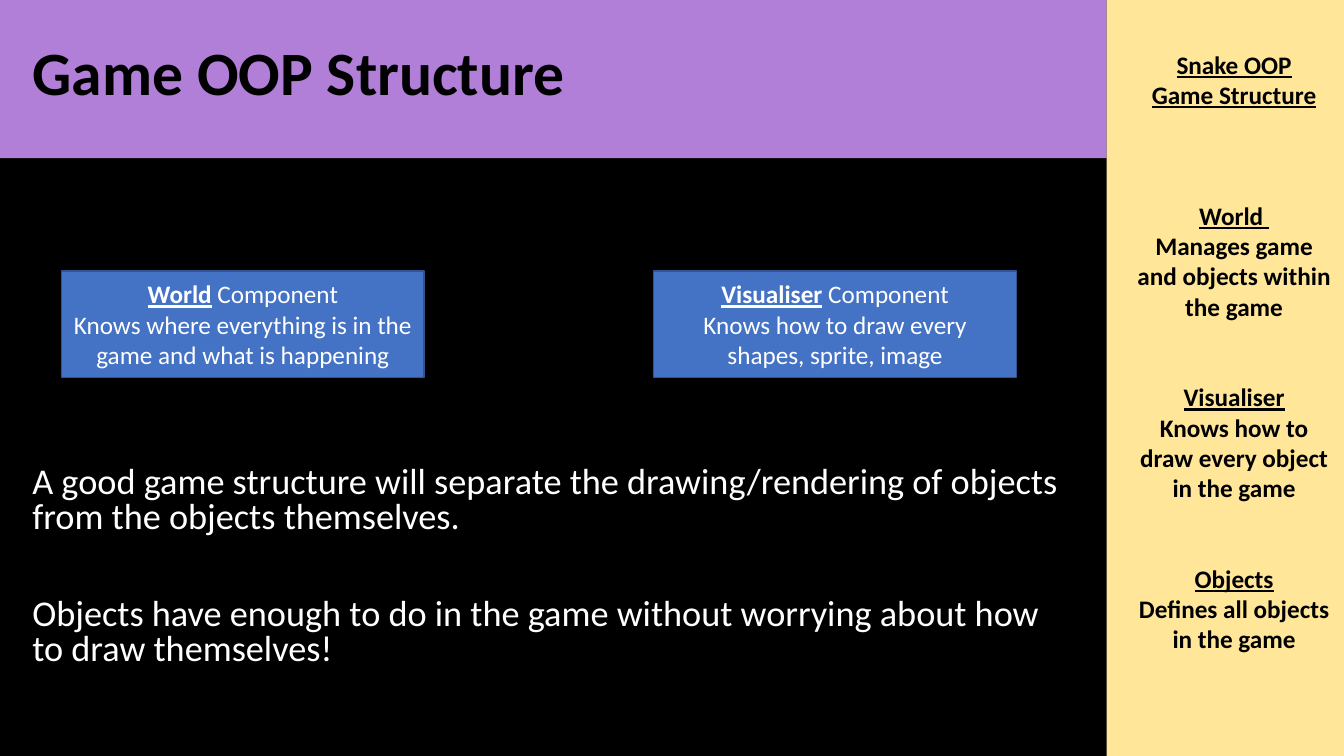
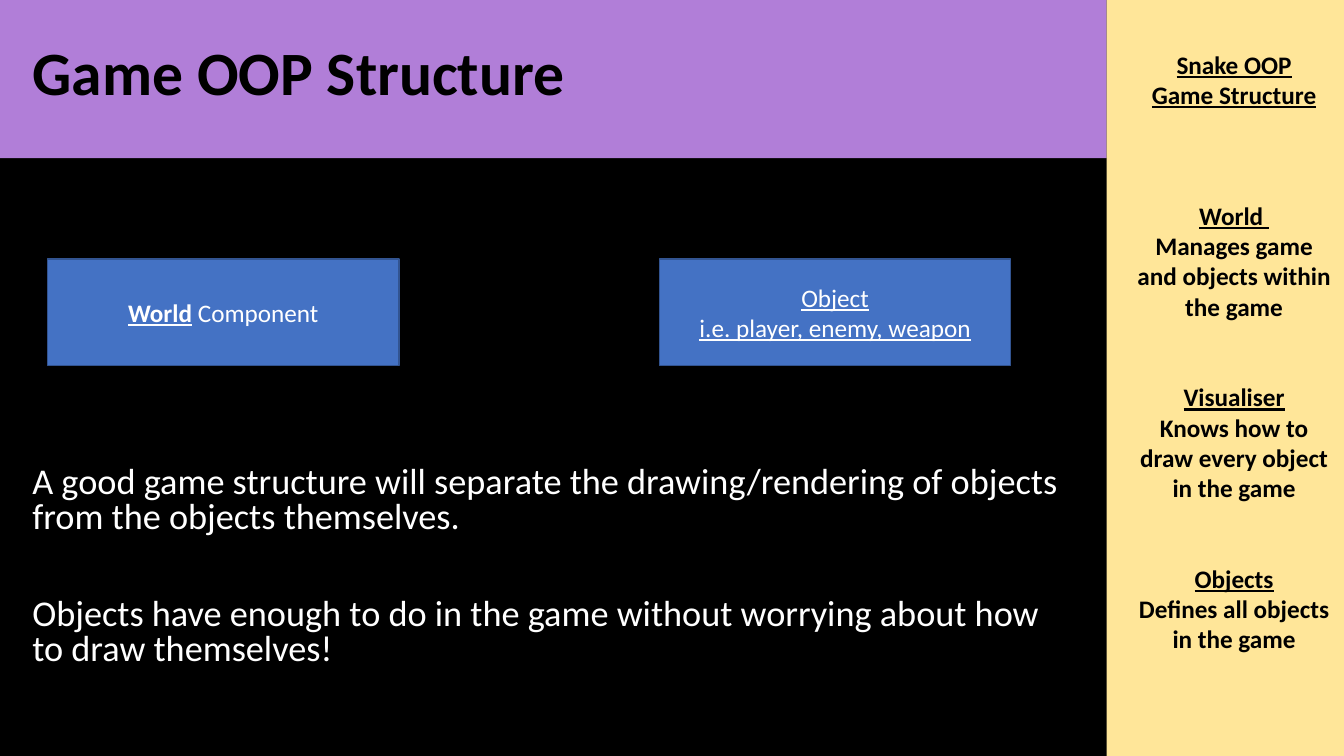
from pptx import Presentation
from pptx.dml.color import RGBColor
from pptx.enum.shapes import MSO_SHAPE
from pptx.enum.text import MSO_ANCHOR, MSO_AUTO_SIZE, PP_ALIGN
from pptx.util import Pt

RECT = MSO_SHAPE.RECTANGLE
LEFT, CENTER = PP_ALIGN.LEFT, PP_ALIGN.CENTER
TOP, MIDDLE = MSO_ANCHOR.TOP, MSO_ANCHOR.MIDDLE
NO_FIT = MSO_AUTO_SIZE.NONE

BLACK, WHITE = "000000", "FFFFFF"
PURPLE, YELLOW = "B17ED8", "FFE699"
BLUE, DARK_BLUE = "4472C4", "325491"

WIDTH, HEIGHT = 960, 540
MAIN_WIDTH, HEADER_HEIGHT = 790.5, 113
HEADER_BOX = (0, 0, MAIN_WIDTH, HEADER_HEIGHT)
SIDEBAR_BOX = (MAIN_WIDTH, 0, WIDTH - MAIN_WIDTH, HEIGHT)
BODY_BOX = (16, 330, 757, 157)
SIDEBAR_LINE = 21.6

PLAIN = {}
UNDERLINED = {"underline": True}
TERM = {"bold": True, "underline": True}

TITLE = "Game OOP Structure"
BODY = [
    "A good game structure will separate the drawing/rendering of objects "
    "from the objects themselves.",
    "Objects have enough to do in the game without worrying about how "
    "to draw themselves!",
]
SIDEBAR_HEADING = ["Snake OOP", "Game Structure"]
SIDEBAR_TERMS = [
    ("World ", "Manages game and objects within the game"),
    ("Visualiser", "Knows how to draw every object in the game"),
    ("Objects", "Defines all objects in the game"),
]


def component(name, *details):
    """Paragraphs for a component box: a marked name, then its details."""
    return [[(name, TERM), (" Component", PLAIN)]] + [[(d, PLAIN)] for d in details]


SLIDES = [
    [((44, 193.5, 259, 76),
      component("World", "Knows where everything is in the game and what is happening")),
     ((467, 193.5, 259, 76),
      component("Visualiser", "Knows how to draw every shapes, sprite, image"))],
    [((34, 185, 251, 76), component("World")),
     ((471, 185, 251, 76),
      [[("Object", UNDERLINED)], [("i.e. player, enemy, weapon", UNDERLINED)]])],
]


def rgb(color):
    return RGBColor.from_string(color)


def set_attrs(target, values):
    for name, value in values.items():
        setattr(target, name, value)


def place(sp, box):
    set_attrs(sp, dict(zip(("left", "top", "width", "height"), map(Pt, box))))


def write(sp, paragraphs, size, color, anchor=TOP, align=LEFT, spacing=None,
          before=(), **font):
    """Fill a shape with paragraphs, each a list of (text, font values)."""
    tf = sp.text_frame
    set_attrs(tf, {"word_wrap": True, "auto_size": NO_FIT, "vertical_anchor": anchor})
    for i, runs in enumerate(paragraphs):
        p = tf.paragraphs[0] if i == 0 else tf.add_paragraph()
        set_attrs(p, {"alignment": align, "line_spacing": spacing,
                      "space_before": Pt(before[i] if before else 0)})
        for text, extra in runs:
            r = p.add_run()
            r.text = text
            set_attrs(r.font, {"name": "Calibri", "size": Pt(size), **font, **extra})
            r.font.color.rgb = rgb(color)


def add_rect(s, box, fill, line=None):
    sp = s.shapes.add_shape(RECT, *map(Pt, box))
    sp.shadow.inherit = False
    sp.fill.solid()
    sp.fill.fore_color.rgb = rgb(fill)
    if line:
        sp.line.color.rgb = rgb(line)
        sp.line.width = Pt(1)
    else:
        sp.line.fill.background()
    return sp


def add_header(s, box):
    x, y, w, h = box
    add_rect(s, box, PURPLE)
    title = s.shapes.title
    title.element.getparent().append(title.element)  # bring in front of the band
    place(title, (x + 16, y + 1.5, w - 33.5, h - 8.5))
    write(title, [[(TITLE, PLAIN)]], 44, BLACK, anchor=MIDDLE, spacing=0.9, bold=True)


def add_sidebar(s, box):
    x, y, w, h = box
    add_rect(s, box, YELLOW)
    paragraphs = [[(text, UNDERLINED)] for text in SIDEBAR_HEADING]
    before = [0, 0]
    for i, (term, meaning) in enumerate(SIDEBAR_TERMS):
        paragraphs += [[(term, UNDERLINED)], [(meaning, PLAIN)]]
        before += [SIDEBAR_LINE * (2 if i else 3), 0]
    sp = s.shapes.add_textbox(*map(Pt, (x + 12.5, y + 31.5, w - 12.5, h - 96.5)))
    write(sp, paragraphs, 18, BLACK, align=CENTER, before=before, bold=True)


def add_body(s, box):
    sp = s.shapes.add_textbox(*map(Pt, box))
    write(sp, [[(text, PLAIN)] for text in BODY], 25.9, WHITE, spacing=0.8,
          before=(10, 44.6))


def add_component(s, box, paragraphs):
    sp = add_rect(s, box, BLUE, DARK_BLUE)
    write(sp, paragraphs, 18, WHITE, anchor=MIDDLE, align=CENTER)


def add_structure_slide(prs, components):
    s = prs.slides.add_slide(prs.slide_layouts[5])
    add_header(s, HEADER_BOX)
    add_sidebar(s, SIDEBAR_BOX)
    add_body(s, BODY_BOX)
    for box, paragraphs in components:
        add_component(s, box, paragraphs)


def main():
    prs = Presentation()
    set_attrs(prs, {"slide_width": Pt(WIDTH), "slide_height": Pt(HEIGHT)})
    background = prs.slide_master.background.fill
    background.solid()
    background.fore_color.rgb = rgb(BLACK)
    for components in SLIDES:
        add_structure_slide(prs, components)
    prs.save("out.pptx")


if __name__ == "__main__":
    main()
